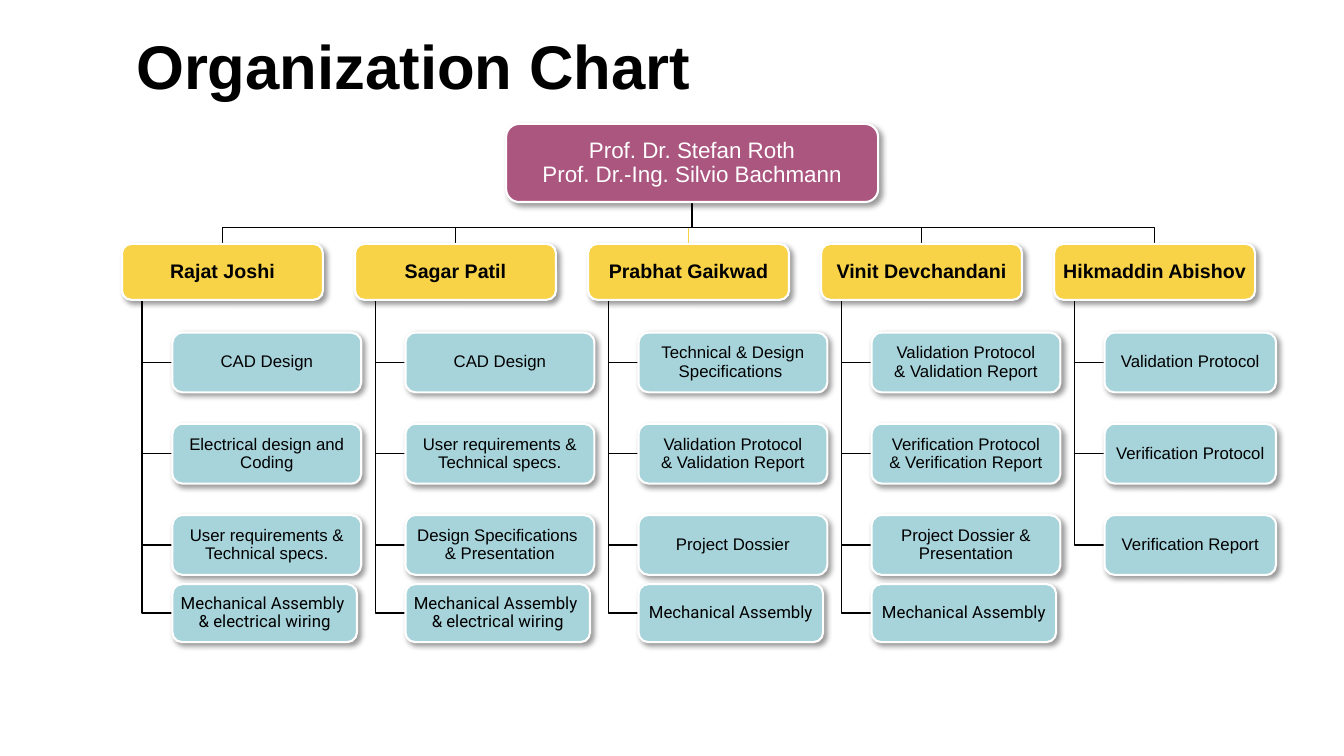
from copy import deepcopy

from lxml import etree
from pptx import Presentation
from pptx import util as u
from pptx.dml.color import RGBColor
from pptx.enum import shapes, text
from pptx.oxml import ns

COLORS = {"ink": "000000", "paper": "FFFFFF", "professor": "AA567F",
          "lead": "F8D348", "task": "A7D3DA"}

# All lengths are percentages of the slide's width or height
PROFESSORS = (37.66, 16.4, 27.68, 10.33)
BUS_Y = 30.13
LEAD_LEFT, LEAD_PITCH, LEAD_WIDTH = 9.08, 17.34, 14.95
LEAD_TOP, LEAD_HEIGHT = 32.27, 7.4
STEM_INDENT, TASK_INDENT = 1.5, 3.75
TASK_TOP, TASK_PITCH, ASSEMBLY_TOP = 44, 12.07, 77.27
TASK_WIDTH, NARROW_WIDTH, ASSEMBLY_WIDTH = 14.05, 12.75, 13.73
TASK_HEIGHT, ASSEMBLY_HEIGHT = 7.9, 7.67

WIRING = "Mechanical Assembly \n& electrical wiring"
VALIDATION = "Validation Protocol\n& Validation Report"
TEAM = [
    ("Rajat Joshi", ["CAD Design", "Electrical design and Coding",
                     "User requirements & Technical specs.", WIRING]),
    ("Sagar Patil", ["CAD Design", "User requirements & Technical specs.",
                     "Design Specifications \n& Presentation", WIRING]),
    ("Prabhat Gaikwad", ["Technical & Design Specifications ", VALIDATION,
                         "Project Dossier", "Mechanical Assembly"]),
    ("Vinit Devchandani", [VALIDATION, "Verification Protocol\n& Verification Report",
                           "Project Dossier & Presentation", "Mechanical Assembly"]),
    ("Hikmaddin Abishov", ["Validation Protocol", "Verification Protocol",
                           "Verification Report"]),
]


def rgb(name):
    return RGBColor.from_string(COLORS[name])


def write(frame, words, size=12, color="ink", bold=False, font="Arial",
          align=text.PP_ALIGN.CENTER, anchor=text.MSO_ANCHOR.MIDDLE, inset=0.04):
    frame.word_wrap = True
    frame.auto_size = text.MSO_AUTO_SIZE.NONE
    frame.vertical_anchor = anchor
    frame.margin_left = frame.margin_right = u.Inches(inset)
    frame.margin_top = frame.margin_bottom = u.Inches(inset)
    paragraph = frame.paragraphs[0]
    paragraph.text = words.replace("\n", "\v")
    paragraph.alignment = align
    paragraph.line_spacing = 0.9
    for run in paragraph.runs:
        run.font.name, run.font.size, run.font.bold = font, u.Pt(size), bold
        run.font.color.rgb = rgb(color)
    # Line breaks take the format of the words around them
    for line_break in paragraph._p.findall(ns.qn("a:br")):
        line_break.append(deepcopy(paragraph.runs[0]._r.rPr))


class OrgChart:
    def __init__(self, deck):
        self.width, self.height = deck.slide_width, deck.slide_height
        self.slide = deck.slides.add_slide(deck.slide_layouts[5])
        self.slide.background.fill.solid()
        self.slide.background.fill.fore_color.rgb = rgb("paper")

    def x(self, share):
        return round(self.width * share / 100)

    def y(self, share):
        return round(self.height * share / 100)

    def title(self, words, left, top, width, height):
        title = self.slide.shapes.title
        title.left, title.top = self.x(left), self.y(top)
        title.width, title.height = self.x(width), self.y(height)
        write(title.text_frame, words, size=44, bold=True, inset=0,
              align=text.PP_ALIGN.LEFT, anchor=text.MSO_ANCHOR.BOTTOM)

    def branch(self, *points, color="ink"):
        start, *rest = [(self.x(x), self.y(y)) for x, y in points]
        builder = self.slide.shapes.build_freeform(*start)
        builder.add_line_segments(rest, close=False)
        branch = builder.convert_to_shape()
        branch.fill.background()
        branch.line.color.rgb = rgb(color)
        branch.line.width = u.Pt(1)
        branch.shadow.inherit = False

    def card(self, words, left, top, width, height, fill, **style):
        card = self.slide.shapes.add_shape(
            shapes.MSO_SHAPE.ROUNDED_RECTANGLE,
            self.x(left), self.y(top), self.x(width), self.y(height))
        card.fill.solid()
        card.fill.fore_color.rgb = rgb(fill)
        card.line.color.rgb = rgb("paper")
        card.line.width = u.Pt(1.5)
        self.drop_shadow(card)
        write(card.text_frame, words, **style)

    def drop_shadow(self, card):
        card.shadow.inherit = False
        effects = card._element.spPr.find(ns.qn("a:effectLst"))
        shadow = etree.SubElement(
            effects, ns.qn("a:outerShdw"), blurRad=str(u.Pt(4)), dist=str(u.Pt(3)),
            dir=str(45 * 60000), algn="tl", rotWithShape="0")
        tint = etree.SubElement(shadow, ns.qn("a:srgbClr"), val=COLORS["ink"])
        etree.SubElement(tint, ns.qn("a:alpha"), val="40000")


def task_box(lead, row):
    """Left, top, width and height of one task under a lead."""
    left = LEAD_LEFT + lead * LEAD_PITCH + TASK_INDENT
    if row == 3:
        return left, ASSEMBLY_TOP, ASSEMBLY_WIDTH, ASSEMBLY_HEIGHT
    width = NARROW_WIDTH if lead == len(TEAM) - 1 else TASK_WIDTH
    return left, TASK_TOP + row * TASK_PITCH, width, TASK_HEIGHT


def main():
    deck = Presentation()
    deck.slide_width, deck.slide_height = u.Inches(13.33), u.Inches(7.5)
    chart = OrgChart(deck)
    chart.title("Organization Chart", 10.13, 4, 45.76, 9.6)

    # Branches, from the last lead to the first
    left, top, width, height = PROFESSORS
    trunk_x, trunk_y = left + width / 2, top + height
    for lead, (_, tasks) in reversed(list(enumerate(TEAM))):
        lead_left = LEAD_LEFT + lead * LEAD_PITCH
        stem_x = lead_left + STEM_INDENT
        for row in reversed(range(len(tasks))):
            task_left, task_top, _, task_height = task_box(lead, row)
            middle = task_top + task_height / 2
            chart.branch((stem_x, LEAD_TOP + LEAD_HEIGHT), (stem_x, middle),
                         (task_left, middle))
        center = lead_left + LEAD_WIDTH / 2
        chart.branch((trunk_x, trunk_y), (trunk_x, BUS_Y), (center, BUS_Y),
                     (center, LEAD_TOP), color="lead" if lead == 2 else "ink")

    # Professors
    chart.card("Prof. Dr. Stefan Roth\nProf. Dr.-Ing. Silvio Bachmann",
               *PROFESSORS, "professor", size=16, color="paper")

    # Leads and their tasks
    for lead, (name, tasks) in enumerate(TEAM):
        chart.card(name, LEAD_LEFT + lead * LEAD_PITCH, LEAD_TOP, LEAD_WIDTH,
                   LEAD_HEIGHT, "lead", size=14, bold=True)
        for row, task in enumerate(tasks):
            chart.card(task, *task_box(lead, row), "task",
                       font="Roboto" if row == 3 else "Arial")

    deck.save("out.pptx")


if __name__ == "__main__":
    main()
